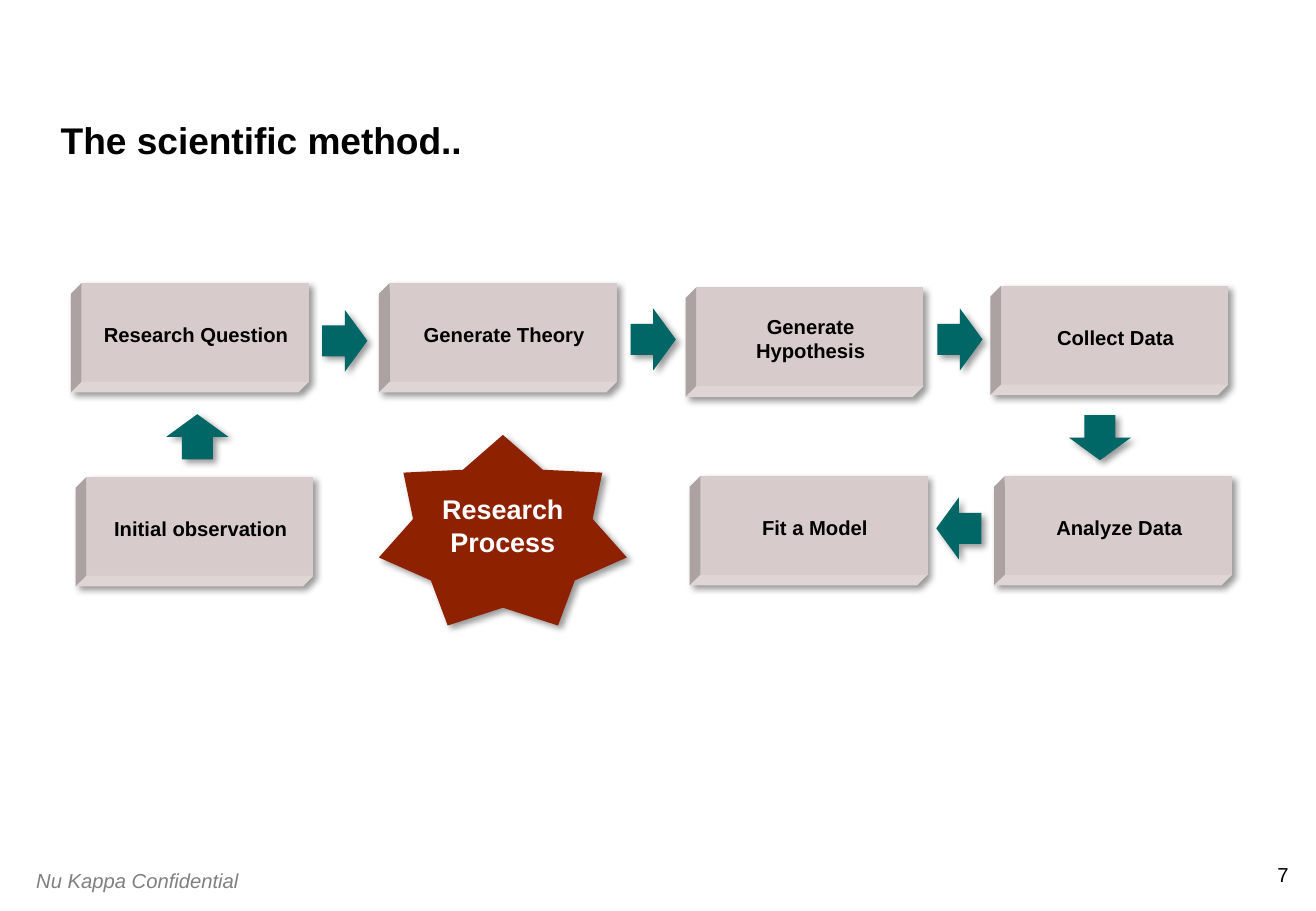
"""Build the scientific method slide: a ring of steps around the research process."""
from dataclasses import dataclass
from lxml import etree
from pptx import Presentation
from pptx import util as u
from pptx.dml import color
from pptx.enum import shapes, text
from pptx.oxml import ns

Pt = u.Pt
Kind = shapes.MSO_SHAPE
Align = text.PP_ALIGN
Anchor = text.MSO_ANCHOR


@dataclass(frozen=True)
class Theme:
    font: str = "Arial"
    ink: str = "000000"
    mute: str = "808080"
    block: str = "D8CBCB"
    arrow: str = "006666"
    star: str = "8E2200"
    light: str = "FFFFFF"
    head: float = 22
    core: float = 16
    base: float = 12


theme = Theme()


def write(words, frame, size=theme.base, ink=theme.ink, bold=False, slant=False,
          align=Align.LEFT, anchor=Anchor.TOP, inset=(7.2, 3.6), lead=None):
    frame.word_wrap = True
    frame.auto_size = text.MSO_AUTO_SIZE.NONE
    frame.vertical_anchor = anchor
    frame.margin_left = frame.margin_right = Pt(inset[0])
    frame.margin_top = frame.margin_bottom = Pt(inset[1])
    frame.text = words
    para = frame.paragraphs[0]
    para.alignment = align
    para.line_spacing = lead
    font = para.font
    font.name, font.size = theme.font, Pt(size)
    font.bold, font.italic = bold, slant
    font.color.rgb = color.RGBColor.from_string(ink)


def draw(kind, box, fill, turn=0):
    shape = slide.shapes.add_shape(kind, *map(Pt, box))
    shape.rotation = turn
    shape.fill.solid()
    shape.fill.fore_color.rgb = color.RGBColor.from_string(fill)
    shape.line.fill.background()
    shape.shadow.inherit = False
    glow = shape._element.spPr.find(ns.qn("a:effectLst"))
    shade = etree.SubElement(glow, ns.qn("a:outerShdw"), blurRad=str(Pt(4)),
                             dist=str(Pt(3)), dir="2700000", algn="tl", rotWithShape="0")
    black = etree.SubElement(shade, ns.qn("a:srgbClr"), val=theme.ink)
    etree.SubElement(black, ns.qn("a:alpha"), val="40000")
    return shape


deck = Presentation()
deck.slide_width, deck.slide_height = Pt(780), Pt(540)
slide = deck.slides.add_slide(deck.slide_layouts[5])

title = slide.shapes.title
title.left, title.top, title.width, title.height = map(Pt, (36, 30.2, 708, 66.2))
write("The scientific method..", title.text_frame, size=theme.head, bold=True,
      anchor=Anchor.BOTTOM, inset=(0, 0), lead=0.9)

page = slide.shapes.add_textbox(*map(Pt, (748.8, 511.2, 15, 14.4)))
write("7", page.text_frame, align=Align.RIGHT, inset=(0, 0))
foot = slide.shapes.add_textbox(*map(Pt, (14.4, 511.2, 144, 21.6)))
write("Nu Kappa Confidential", foot.text_frame, ink=theme.mute, slant=True)

steps = [
    ("Research Question", 42, 167.8),
    ("Generate Theory", 224.6, 167.8),
    ("Generate Hypothesis", 406.3, 170.4),
    ("Collect Data", 587, 169.4),
    ("Analyze Data", 589.2, 282.2),
    ("Fit a Model", 408.8, 282.2),
    ("Initial observation", 44.8, 282.8),
]
for name, left, top in steps:
    cube = draw(Kind.CUBE, (left, top, 141, 64.8), theme.block, turn=180)
    cube.adjustments[0] = 0.097
    label = slide.shapes.add_textbox(*map(Pt, (left + 7.6, top + 10.2, 133.2, 40.3)))
    write(name, label.text_frame, bold=True, align=Align.CENTER, anchor=Anchor.MIDDLE)

arrows = [
    (98.6, 245.5, 0),
    (186, 188.6, 90),
    (368.8, 187.8, 90),
    (550.6, 187.8, 90),
    (633.6, 246, 180),
    (550, 299.8, 270),
]
for left, top, turn in arrows:
    draw(Kind.UP_ARROW, (left, top, 36.7, 26.8), theme.arrow, turn)

star = draw(Kind.STAR_7_POINT, (224.6, 257.8, 147, 113), theme.star)
star.adjustments[0] = 0.362
write("Research Process", star.text_frame, size=theme.core, ink=theme.light, bold=True,
      align=Align.CENTER, anchor=Anchor.MIDDLE, inset=(3.6, 3.6))

deck.save("out.pptx")
